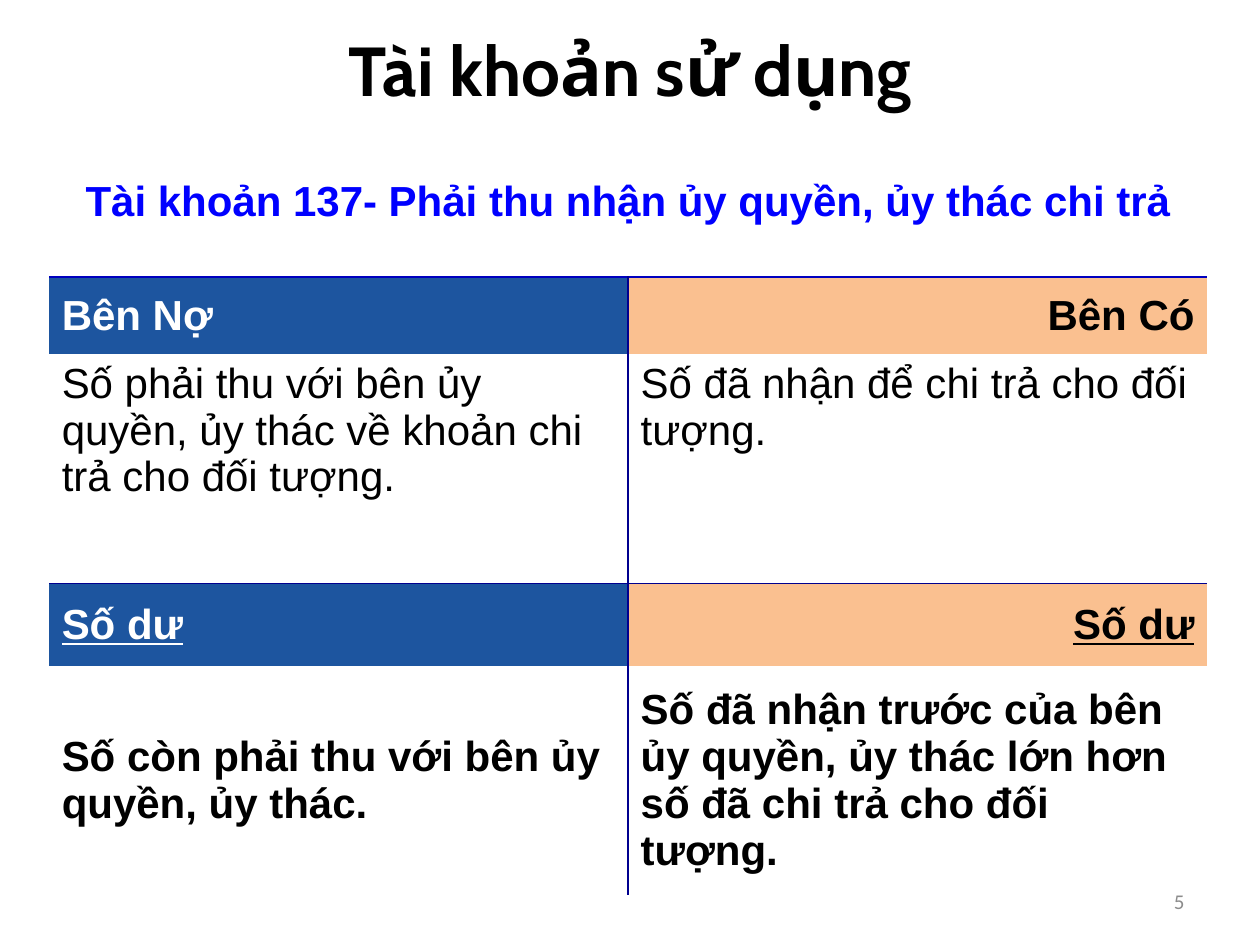
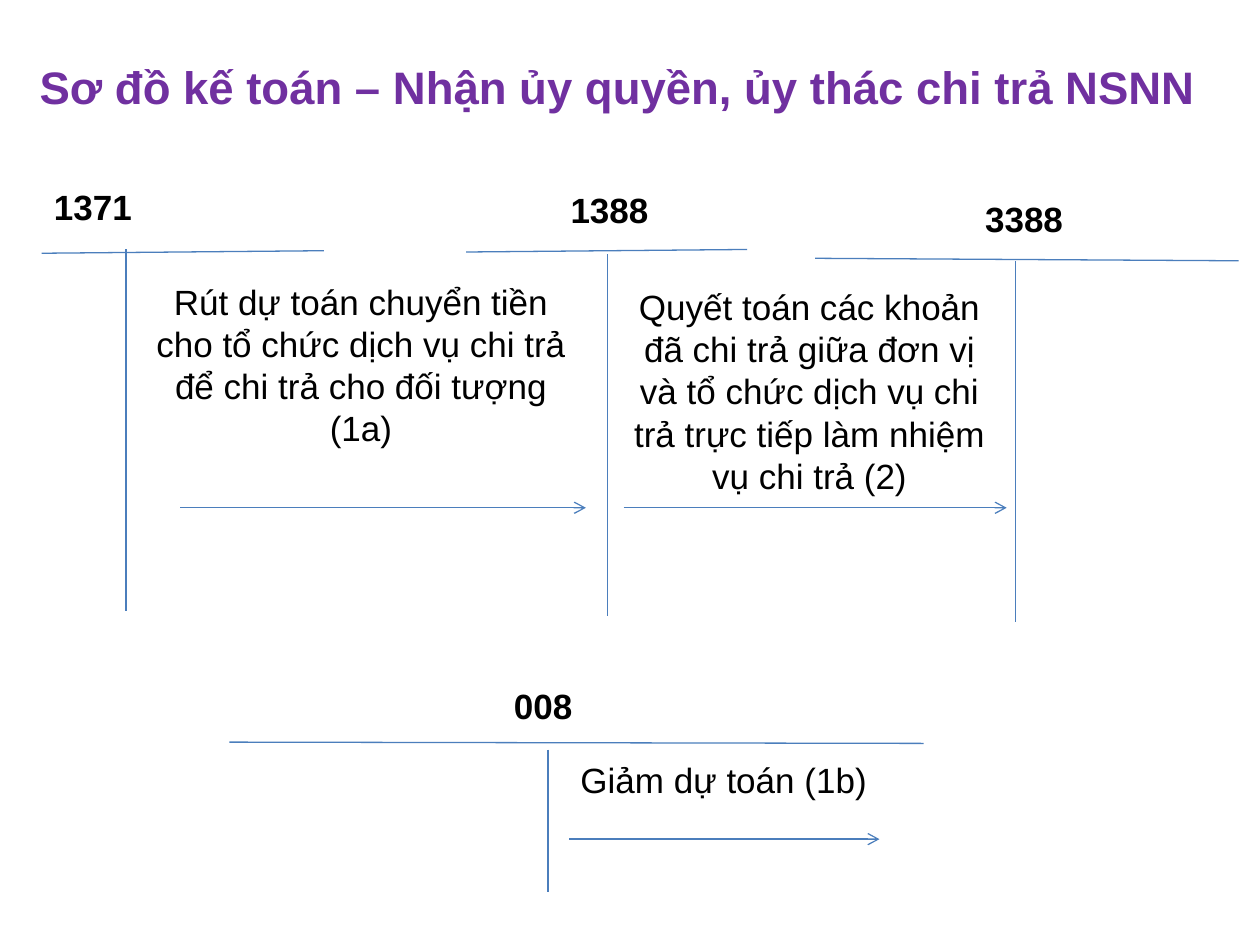
from dataclasses import dataclass

from lxml import etree
from pptx import Presentation
from pptx import util as u
from pptx.dml.color import RGBColor
from pptx.enum import shapes, text
from pptx.oxml import ns

COLUMNS, ROWS = 100, 75  # grid over a 10 by 7.5 inch slide
CELL = u.Inches(0.1)
TITLE_ONLY = 5
LEFT, CENTER, RIGHT = text.PP_ALIGN.LEFT, text.PP_ALIGN.CENTER, text.PP_ALIGN.RIGHT
TOP, MIDDLE, BOTTOM = text.MSO_ANCHOR.TOP, text.MSO_ANCHOR.MIDDLE, text.MSO_ANCHOR.BOTTOM


@dataclass(frozen=True)
class Theme:
    body_font: str = "Arial"
    title_font: str = "Cabin"
    number_font: str = "Calibri"
    black: str = "000000"
    white: str = "FFFFFF"
    grey: str = "8C8C8C"
    blue: str = "0000FF"
    purple: str = "7030A0"
    debit: str = "1D559F"
    credit: str = "FAC090"
    outer_border: str = "0000BF"
    inner_border: str = "00008F"
    line: str = "4B7EBC"
    title_size: float = 39.6
    diagram_title_size: float = 26
    table_size: float = 24
    diagram_size: float = 20
    number_size: float = 12
    border_width: float = 1
    line_width: float = 0.75


THEME = Theme()


def grid(*lengths):
    """Turn grid units into slide lengths."""
    return [round(length * CELL) for length in lengths]


def write(frame, words, size, color=THEME.black, font=THEME.body_font,
          bold=False, underline=False, align=LEFT):
    frame.word_wrap = True
    paragraph = frame.paragraphs[0]
    paragraph.text = words
    paragraph.alignment = align
    style = paragraph.font
    style.name, style.size = font, u.Pt(size)
    style.bold, style.underline = bold, underline
    style.color.rgb = RGBColor.from_string(color)


def add_titled_slide(presentation, title, box, anchor, **style):
    slide = presentation.slides.add_slide(presentation.slide_layouts[TITLE_ONLY])
    placeholder = slide.shapes.title
    placeholder.left, placeholder.top, placeholder.width, placeholder.height = grid(*box)
    frame = placeholder.text_frame
    frame.auto_size = text.MSO_AUTO_SIZE.NONE
    frame.vertical_anchor = anchor
    write(frame, title, bold=True, align=CENTER, **style)
    return slide


def add_text(parent, words, box, size=THEME.diagram_size, anchor=TOP, **style):
    frame = parent.shapes.add_textbox(*grid(*box)).text_frame
    frame.vertical_anchor = anchor
    write(frame, words, size, **style)


def add_line(parent, start, end, arrow=False):
    connector = parent.shapes.add_connector(
        shapes.MSO_CONNECTOR.STRAIGHT, *grid(*start, *end))
    connector.line.color.rgb = RGBColor.from_string(THEME.line)
    connector.line.width = u.Pt(THEME.line_width)
    if arrow:
        etree.SubElement(connector.line._get_or_add_ln(), ns.qn("a:tailEnd"), type="arrow")
    etree.SubElement(connector._element.spPr, ns.qn("a:effectLst"))


def set_borders(cell, colors):
    """Draw the left, right, top and bottom edges; None hides an edge."""
    properties = cell._tc.get_or_add_tcPr()
    for side, color in zip("LRTB", colors):
        edge = etree.SubElement(properties, ns.qn(f"a:ln{side}"),
                                w=str(u.Pt(THEME.border_width)))
        if color:
            fill = etree.SubElement(edge, ns.qn("a:solidFill"))
            etree.SubElement(fill, ns.qn("a:srgbClr"), val=color)
        else:
            etree.SubElement(edge, ns.qn("a:noFill"))


def fill_cell(cell, words, fill=None, anchor=MIDDLE, **style):
    if fill:
        cell.fill.solid()
        cell.fill.fore_color.rgb = RGBColor.from_string(fill)
    else:
        cell.fill.background()
    cell.vertical_anchor = anchor
    write(cell.text_frame, words, THEME.table_size, **style)


def fill_heading_row(cells, words, underline=False):
    looks = ((THEME.debit, THEME.white, LEFT), (THEME.credit, THEME.black, RIGHT))
    for cell, (fill, color, align) in zip(cells, looks):
        fill_cell(cell, words[align], fill, color=color, align=align,
                  bold=True, underline=underline)


def add_account_table(slide):
    row_heights = (12, 6.1, 18.2, 6.6, 18.1)
    table = slide.shapes.add_table(
        len(row_heights), 2, *grid(3.9, 10, 91.9, sum(row_heights))).table
    table.first_row = table.horz_banding = False
    for row, height in zip(table.rows, grid(*row_heights)):
        row.height = height

    rules = {1: THEME.outer_border, 3: THEME.inner_border}  # line above each heading row
    for row in range(len(row_heights)):
        divider = THEME.inner_border if row else None
        across = (rules.get(row), rules.get(row + 1))
        set_borders(table.cell(row, 0), (None, divider, *across))
        set_borders(table.cell(row, 1), (divider, None, *across))

    rows = [[table.cell(row, column) for column in range(2)]
            for row in range(len(row_heights))]
    account, heading, entries, balance, balances = rows
    account[0].merge(account[1])
    fill_cell(account[0], "Tài khoản 137- Phải thu nhận ủy quyền, ủy thác chi trả",
              color=THEME.blue, bold=True, align=CENTER)
    fill_heading_row(heading, {LEFT: "Bên Nợ", RIGHT: "Bên Có"})
    fill_heading_row(balance, {LEFT: "Số dư", RIGHT: "Số dư"}, underline=True)
    for cell, words in zip(entries, (
            "Số phải thu với bên ủy quyền, ủy thác về khoản chi trả cho đối tượng.",
            "Số đã nhận để chi trả cho đối tượng.")):
        fill_cell(cell, words, anchor=TOP)
    for cell, words in zip(balances, (
            "Số còn phải thu với bên ủy quyền, ủy thác.",
            "Số đã nhận trước của bên ủy quyền, ủy thác lớn hơn số đã chi trả cho đối tượng.")):
        fill_cell(cell, words, bold=True)


def add_t_account(group, code, label, bar, stem):
    """Label is (left, top, width); bar is (start, end); stem is (x, top, bottom)."""
    add_text(group, code, (*label, 4.4), bold=True)
    add_line(group, *bar)
    x, top, bottom = stem
    add_line(group, (x, top), (x, bottom))


def add_entry(group, words, box, arrow):
    """Describe a posting above its arrow, given as (start, end, y)."""
    add_text(group, words, box, align=CENTER)
    start, end, y = arrow
    add_line(group, (start, y), (end, y), arrow=True)


def build_account_slide(presentation):
    slide = add_titled_slide(presentation, "Tài khoản sử dụng", (6.9, 2.1, 86.2, 6.8),
                             MIDDLE, size=THEME.title_size, font=THEME.title_font)
    add_account_table(slide)
    add_text(slide, "5", (71.7, 69.5, 23.3, 4), THEME.number_size, MIDDLE,
             color=THEME.grey, font=THEME.number_font, align=RIGHT)


def build_diagram_slide(presentation):
    slide = add_titled_slide(
        presentation, "Sơ đồ kế toán – Nhận ủy quyền, ủy thác chi trả NSNN",
        (0, 1.4, 98.1, 8.1), BOTTOM, size=THEME.diagram_title_size, color=THEME.purple)

    budget = slide.shapes.add_group_shape()
    add_t_account(budget, "008", (39.8, 53.8, 8), ((18.2, 58.9), (73.3, 59)),
                  (43.5, 59.5, 70.8))
    add_entry(budget, "Giảm dự toán (1b)", (44.1, 59.7, 26.7, 4.4), (45.2, 69.8, 66.6))

    payments = slide.shapes.add_group_shape()
    add_t_account(payments, "1371", (3.3, 14.2, 14.6), ((3.3, 20.1), (25.7, 19.9)),
                  (10, 19.8, 48.5))
    add_t_account(payments, "1388", (44.3, 14.5, 10.6), ((37, 20), (59.3, 19.8)),
                  (48.2, 20.2, 48.9))
    add_t_account(payments, "3388", (77.2, 15.2, 14.6), ((64.7, 20.5), (98.3, 20.7)),
                  (80.6, 20.7, 49.4))
    add_entry(payments,
              "Rút dự toán chuyển tiền cho tổ chức dịch vụ chi trả để chi trả cho đối tượng (1a)",
              (11.2, 21.8, 34.9, 14.5), (14.3, 46.5, 40.3))
    add_entry(payments,
              "Quyết toán các khoản đã chi trả giữa đơn vị và tổ chức dịch vụ chi trả "
              "trực tiếp làm nhiệm vụ chi trả (2)",
              (48.3, 22.2, 31.9, 17.8), (49.5, 79.9, 40.3))


def main():
    presentation = Presentation()
    presentation.slide_width, presentation.slide_height = grid(COLUMNS, ROWS)
    build_account_slide(presentation)
    build_diagram_slide(presentation)
    presentation.save("out.pptx")


if __name__ == "__main__":
    main()
